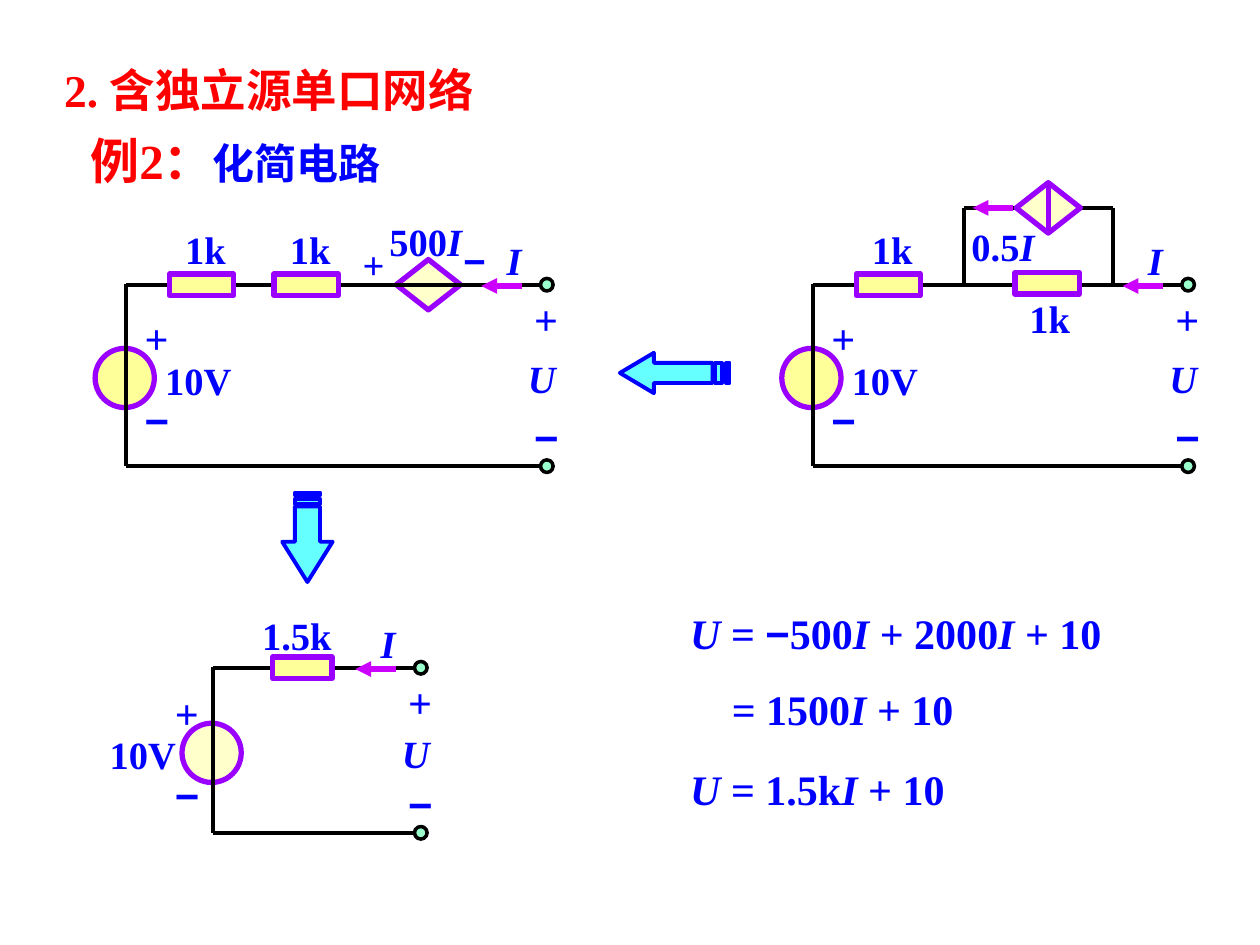
from lxml.etree import SubElement
from pptx import Presentation
from pptx.dml.color import RGBColor
from pptx.enum.shapes import MSO_CONNECTOR, MSO_SHAPE
from pptx.enum.text import MSO_ANCHOR, MSO_AUTO_SIZE, PP_ALIGN
from pptx.oxml.ns import qn
from pptx.util import Inches, Pt

RED = RGBColor(0xFF, 0x00, 0x00)
BLUE = RGBColor(0x00, 0x00, 0xFF)
BLACK = RGBColor(0x00, 0x00, 0x00)
PURPLE = RGBColor(0x99, 0x00, 0xFF)
VIOLET = RGBColor(0xCC, 0x00, 0xFF)
YELLOW = RGBColor(0xFF, 0xFF, 0x99)
CREAM = RGBColor(0xFF, 0xFF, 0xCC)
MINT = RGBColor(0x99, 0xFF, 0xCC)
CYAN = RGBColor(0x66, 0xFF, 0xFF)
SERIF, SANS = "Times New Roman", "Arial"
WIDE, TIGHT = (0.1, 0.05), (0.02, 0.04)


# Text
def add_run(para, words, size, color=BLUE, face=SERIF):
    """Add one run; I and U are variables, so they lean."""
    run = para.add_run()
    run.text = words
    font = run.font
    font.name = SANS if words == "−" else face
    font.size = Pt(size)
    font.bold = True
    font.italic = words.strip() in ("I", "U")
    font.color.rgb = color


def set_frame(frame, pad):
    frame.word_wrap = True
    frame.auto_size = MSO_AUTO_SIZE.NONE
    frame.vertical_anchor = MSO_ANCHOR.TOP
    frame.margin_left = frame.margin_right = Inches(pad[0])
    frame.margin_top = frame.margin_bottom = Inches(pad[1])


def add_text(parts, x, y, w, h, words, size=22, pad=TIGHT):
    box = parts.add_textbox(Inches(x), Inches(y), Inches(w), Inches(h))
    set_frame(box.text_frame, pad)
    for item in words:
        add_run(box.text_frame.paragraphs[0], item, size)
    return box.text_frame


def add_sign(parts, x, y, sign, size=24):
    add_text(parts, x, y, 0.58, 0.48, [sign], size, WIDE)


# Drawing parts
def paint(shape, fill, color, width):
    shape.shadow.inherit = False
    shape.fill.solid()
    shape.fill.fore_color.rgb = fill
    shape.line.color.rgb = color
    shape.line.width = Pt(width)


def add_part(parts, kind, mid_x, mid_y, w, h, fill, color=PURPLE, width=3):
    shape = parts.add_shape(kind, Inches(mid_x - w / 2), Inches(mid_y - h / 2),
                            Inches(w), Inches(h))
    paint(shape, fill, color, width)


def add_wire(parts, x1, y1, x2, y2, color=BLACK, width=2.25, arrow=False):
    wire = parts.add_connector(MSO_CONNECTOR.STRAIGHT, Inches(x1), Inches(y1),
                               Inches(x2), Inches(y2))
    wire.line.color.rgb = color
    wire.line.width = Pt(width)
    if arrow:
        SubElement(wire.line._get_or_add_ln(), qn("a:tailEnd"), type="triangle")
    SubElement(wire._element.spPr, qn("a:effectLst"))


def add_flow(parts, x, y):
    add_wire(parts, x, y, x - 0.32, y, VIOLET, 3, True)


def add_load(parts, x, y, w=0.51):
    add_part(parts, MSO_SHAPE.RECTANGLE, x, y, w, 0.17, YELLOW)


def add_diamond(parts, x, y):
    add_part(parts, MSO_SHAPE.FLOWCHART_DECISION, x, y, 0.51, 0.4, CREAM)


# Voltage source, wires and open port shared by all circuits
def add_port(parts, x, y, w, h, fill=YELLOW, sign_x=0.05, volt_x=0.29):
    end, base, mid = x + w, y + h, y + h / 2
    add_part(parts, MSO_SHAPE.OVAL, x - 0.01, mid + 0.02, 0.47, 0.47, fill)
    add_wire(parts, x, y - 0.01, x, base)
    add_sign(parts, x + sign_x, mid - 0.55, "+")
    add_sign(parts, x + sign_x, mid + 0.1, "−")
    add_text(parts, x + volt_x, mid - 0.19, 0.72, 0.45, ["10V"])
    for level in (y, base):
        add_wire(parts, end - 0.05, level, x, level)
        add_part(parts, MSO_SHAPE.OVAL, end, level, 0.1, 0.1, MINT, BLACK, 2)
    add_sign(parts, end - 0.2, y + 0.02, "+")
    add_sign(parts, end - 0.2, base - 0.48, "−")
    add_text(parts, end - 0.17, mid - 0.2, 0.48, 0.45, ["U"])
    add_flow(parts, end - 0.2, y + 0.01)
    add_text(parts, end - 0.34, y - 0.42, 0.35, 0.45, ["I"])


def add_first(parts, x, y, w, h):
    """Circuit with a current source across the second resistor."""
    add_port(parts, x, y, w, h)
    left, right, top = x + 1.2, x + 2.38, y - 0.61
    for side in (left, right):
        add_wire(parts, side, top, side, y)
    add_wire(parts, right, top, left, top)
    add_flow(parts, x + 1.59, top)
    add_diamond(parts, x + 1.87, top)
    add_wire(parts, x + 1.87, top + 0.2, x + 1.87, top - 0.2, PURPLE, 3)
    add_text(parts, x + 1.24, y - 0.53, 0.69, 0.45, ["0.5", "I"])
    add_load(parts, x + 0.6, y)
    add_load(parts, x + 1.86, y - 0.01)
    add_text(parts, x + 0.45, y - 0.51, 0.52, 0.45, ["1k"])
    add_text(parts, x + 1.7, y + 0.04, 0.52, 0.45, ["1k"])


def add_second(parts, x, y, w, h):
    """Circuit with a voltage source in series."""
    add_diamond(parts, x + 2.4, y)
    add_port(parts, x, y, w, h)
    for load_x in (0.6, 1.43):
        add_load(parts, x + load_x, y)
        add_text(parts, x + load_x - 0.15, y - 0.51, 0.52, 0.45, ["1k"])
    add_text(parts, x + 2.07, y - 0.57, 0.82, 0.45, ["500", "I"])
    add_sign(parts, x + 1.78, y - 0.4, "+", 22)
    add_sign(parts, x + 2.58, y - 0.43, "−", 22)


def add_third(parts, x, y, w, h):
    """Simplest circuit."""
    add_port(parts, x, y, w, h, CREAM, -0.4, -0.84)
    add_load(parts, x + 0.71, y, 0.47)
    add_text(parts, x + 0.37, y - 0.48, 0.92, 0.45, ["1.5k"])


# Striped block arrow from its tip back along a direction
def add_arrow(parts, tip, back, size, head, half, shaft):
    def spot(along, across):
        return (Inches(tip[0] + back[0] * along + back[1] * across),
                Inches(tip[1] + back[1] * along + back[0] * across))

    def bar(start, stop):
        return [spot(start * size, -shaft), spot(stop * size, -shaft),
                spot(stop * size, shaft), spot(start * size, shaft)]

    neck = head / size
    outline = [spot(0, 0), spot(head, -half), *bar(neck, 0.845), spot(head, half)]
    pen = parts.build_freeform(*outline[0], scale=1.0)
    pen.add_line_segments(outline[1:], close=True)
    for edge in (bar(0.87, 0.93), bar(0.97, 1)):
        pen.move_to(*edge[0])
        pen.add_line_segments(edge[1:], close=True)
    paint(pen.convert_to_shape(), CYAN, BLUE, 2.25)


# Title and example heading
def add_heads(slide, x, y):
    title = slide.shapes.title
    title.left, title.top = Inches(x), Inches(y)
    title.width, title.height = Inches(3.93), Inches(0.54)
    set_frame(title.text_frame, WIDE)
    para = title.text_frame.paragraphs[0]
    para.alignment = PP_ALIGN.LEFT
    add_run(para, "2. 含独立源单口网络", 26, RED)
    frame = add_text(slide.shapes, x + 0.21, y + 0.55, 3.75, 0.57, [], pad=WIDE)
    add_run(frame.paragraphs[0], "例2：", 28, RED)
    add_run(frame.paragraphs[0], "化简电路", 24, BLUE, SANS)


# Equations
def add_maths(parts, x, y):
    frame = add_text(parts, x, y, 3.64, 1.11,
                     ["U ", "= ", "−", "500", "I ", "+ 2000", "I ", "+ 10"],
                     24, WIDE)
    para = frame.add_paragraph()
    para.space_before = Pt(15)
    para._p.get_or_add_pPr().set("marL", str(Inches(0.33)))
    for words in ("= 1500", "I ", "+ 10"):
        add_run(para, words, 24)
    add_text(parts, x, y + 1.24, 2.5, 0.5, ["U ", "= 1.5k", "I ", "+ 10"],
             24, WIDE)


def main():
    deck = Presentation()
    deck.slide_width, deck.slide_height = Inches(10), Inches(7.5)
    slide = deck.slides.add_slide(deck.slide_layouts[5])
    shapes = slide.shapes
    add_heads(slide, 0.41, 0.44)
    add_maths(shapes, 5.38, 4.77)
    for draw, box in ((add_first, (6.45, 2.26, 2.98, 1.44)),
                      (add_second, (1, 2.26, 3.34, 1.44)),
                      (add_third, (1.69, 5.3, 1.65, 1.31))):
        draw(shapes.add_group_shape().shapes, *box)
    add_arrow(shapes, (2.44, 4.62), (0, -1), 0.71, 0.32, 0.2, 0.1)
    add_arrow(shapes, (4.92, 2.96), (1, 0), 0.87, 0.27, 0.16, 0.08)
    deck.save("out.pptx")


if __name__ == "__main__":
    main()
